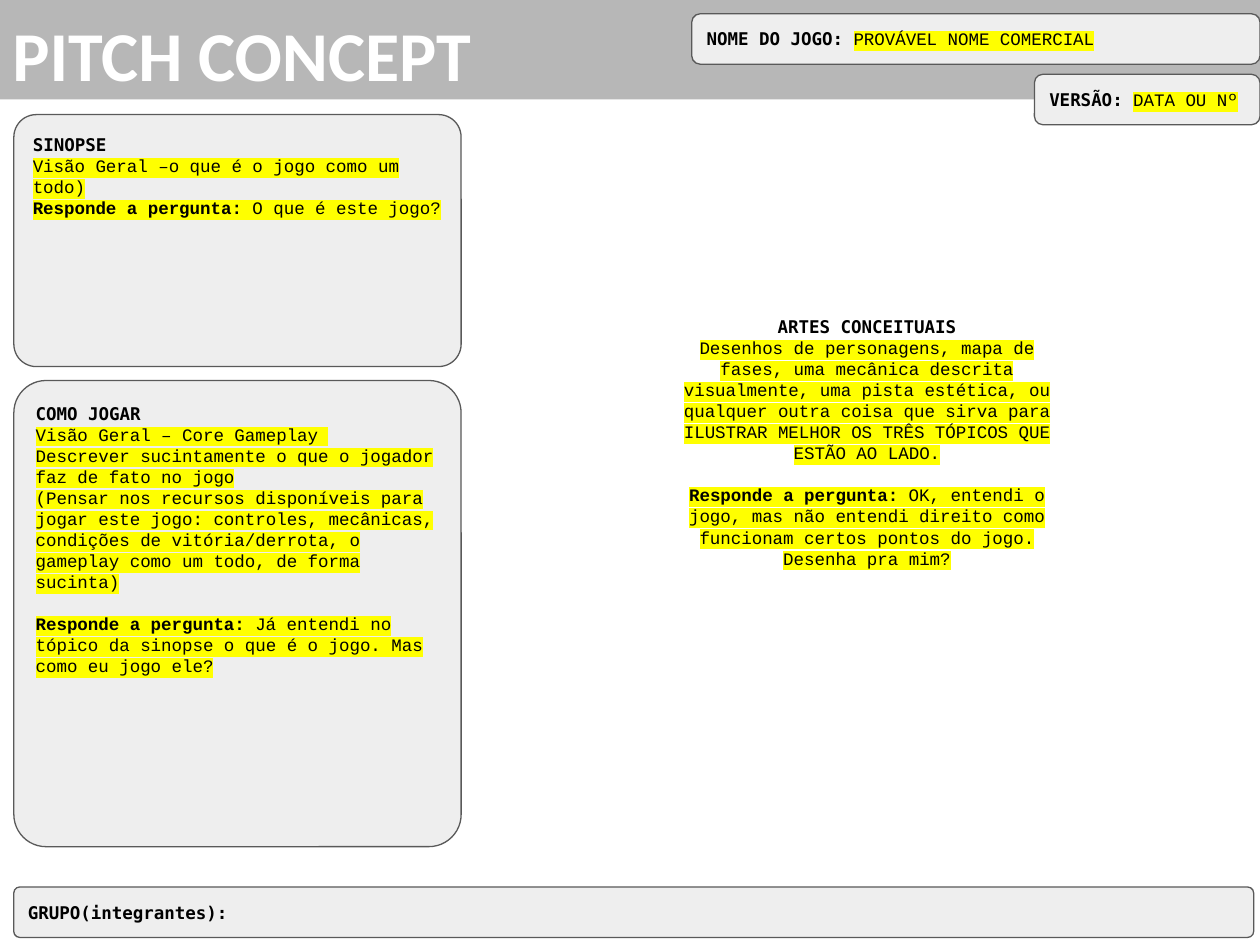
from lxml.etree import SubElement
from pptx import Presentation
from pptx.dml.color import RGBColor
from pptx.enum.shapes import MSO_SHAPE as Shape
from pptx.enum.text import MSO_ANCHOR as Anchor, PP_ALIGN as Align
from pptx.oxml.ns import qn
from pptx.util import Inches, Pt


def color(value):
    return RGBColor.from_string(value)


class PitchSlide:
    heading_font = "DejaVu Sans Mono"
    body_font = "Courier New"
    text_size = 10
    section_gap = 12
    panel_fill = "EEEEEE"
    panel_line = "595959"
    marker = "FFFF00"

    def __init__(self, presentation):
        self.slide = presentation.slides.add_slide(presentation.slide_layouts[6])

    def run(self, paragraph, text, font, bold=False, size=text_size, ink="000000"):
        run = paragraph.add_run()
        run.text = text
        run.font.size = Pt(size)
        run.font.bold = bold
        run.font.color.rgb = color(ink)
        run.font.name = font
        return run

    def heading(self, paragraph, text):
        self.run(paragraph, text, self.heading_font, bold=True)

    def marked(self, paragraph, text, bold=False):
        run = self.run(paragraph, text, self.body_font, bold)
        properties = run.font._element
        highlight = SubElement(properties, qn("a:highlight"))
        SubElement(highlight, qn("a:srgbClr"), val=self.marker)
        properties.find(qn("a:latin")).addprevious(highlight)

    def frame(self, shape, anchor=Anchor.TOP):
        frame = shape.text_frame
        frame.word_wrap = True
        frame.vertical_anchor = anchor
        frame.margin_left = frame.margin_right = Inches(0.1)
        frame.margin_top = frame.margin_bottom = Inches(0.1)
        frame.paragraphs[0].alignment = Align.LEFT
        return frame

    def box(self, kind, place, fill):
        shape = self.slide.shapes.add_shape(kind, *map(Inches, place))
        shape.shadow.inherit = False
        shape.fill.solid()
        shape.fill.fore_color.rgb = color(fill)
        return shape

    def banner(self, place, text):
        shape = self.box(Shape.RECTANGLE, place, "B7B7B7")
        shape.line.fill.background()
        paragraph = self.frame(shape).paragraphs[0]
        self.run(paragraph, text, "Calibri", True, 40, "FFFFFF")

    def panel(self, place, rounding):
        shape = self.box(Shape.ROUNDED_RECTANGLE, place, self.panel_fill)
        shape.adjustments[0] = rounding
        shape.line.color.rgb = color(self.panel_line)
        shape.line.width = Pt(0.75)
        return shape

    def field(self, place, label, value="", rounding=0.167):
        frame = self.frame(self.panel(place, rounding), Anchor.MIDDLE)
        paragraph = frame.paragraphs[0]
        self.heading(paragraph, label)
        if value:
            self.marked(paragraph, value)

    def topic(self, shape, title, hints, answer, gap=0, align=Align.LEFT):
        frame = self.frame(shape)
        self.heading(frame.paragraphs[0], title)
        for hint in hints:
            self.marked(frame.add_paragraph(), hint)
        question = frame.add_paragraph()
        question.space_before = Pt(gap)
        self.marked(question, "Responde a pergunta:", bold=True)
        self.marked(question, answer)
        for paragraph in frame.paragraphs:
            paragraph.alignment = align

    def text_box(self, place):
        return self.slide.shapes.add_textbox(*map(Inches, place))


def main():
    presentation = Presentation()
    presentation.slide_width = Inches(10)
    presentation.slide_height = Inches(7.5)
    pitch = PitchSlide(presentation)

    pitch.banner((0, -0.01, 10, 0.8), "PITCH CONCEPT")
    pitch.field((5.49, 0.11, 4.51, 0.4), "NOME DO JOGO: ", "PROVÁVEL NOME COMERCIAL")
    pitch.field((0.11, 7.04, 9.84, 0.4), "GRUPO(integrantes):", rounding=0.118)
    pitch.field((8.21, 0.59, 1.79, 0.4), "VERSÃO: ", "DATA OU Nº")
    pitch.topic(
        pitch.panel((0.11, 3.02, 3.55, 3.7), 0.072),
        "COMO JOGAR",
        [
            "Visão Geral – Core Gameplay ",
            "Descrever sucintamente o que o jogador faz de fato no jogo",
            "(Pensar nos recursos disponíveis para jogar este jogo: controles, "
            "mecânicas, condições de vitória/derrota, o gameplay como um todo, "
            "de forma sucinta)",
        ],
        " Já entendi no tópico da sinopse o que é o jogo. Mas como eu jogo ele?",
        gap=pitch.section_gap,
    )
    pitch.topic(
        pitch.panel((0.11, 0.91, 3.55, 2), 0.089),
        "SINOPSE",
        ["Visão Geral –o que é o jogo como um todo)"],
        " O que é este jogo?",
    )
    pitch.topic(
        pitch.text_box((5.24, 2.41, 3.28, 3.28)),
        "ARTES CONCEITUAIS",
        [
            "Desenhos de personagens, mapa de fases, uma mecânica descrita "
            "visualmente, uma pista estética, ou qualquer outra coisa que sirva "
            "para ILUSTRAR MELHOR OS TRÊS TÓPICOS QUE ESTÃO AO LADO."
        ],
        " OK, entendi o jogo, mas não entendi direito como funcionam certos "
        "pontos do jogo. Desenha pra mim?",
        gap=pitch.section_gap,
        align=Align.CENTER,
    )
    presentation.save("out.pptx")


if __name__ == "__main__":
    main()
